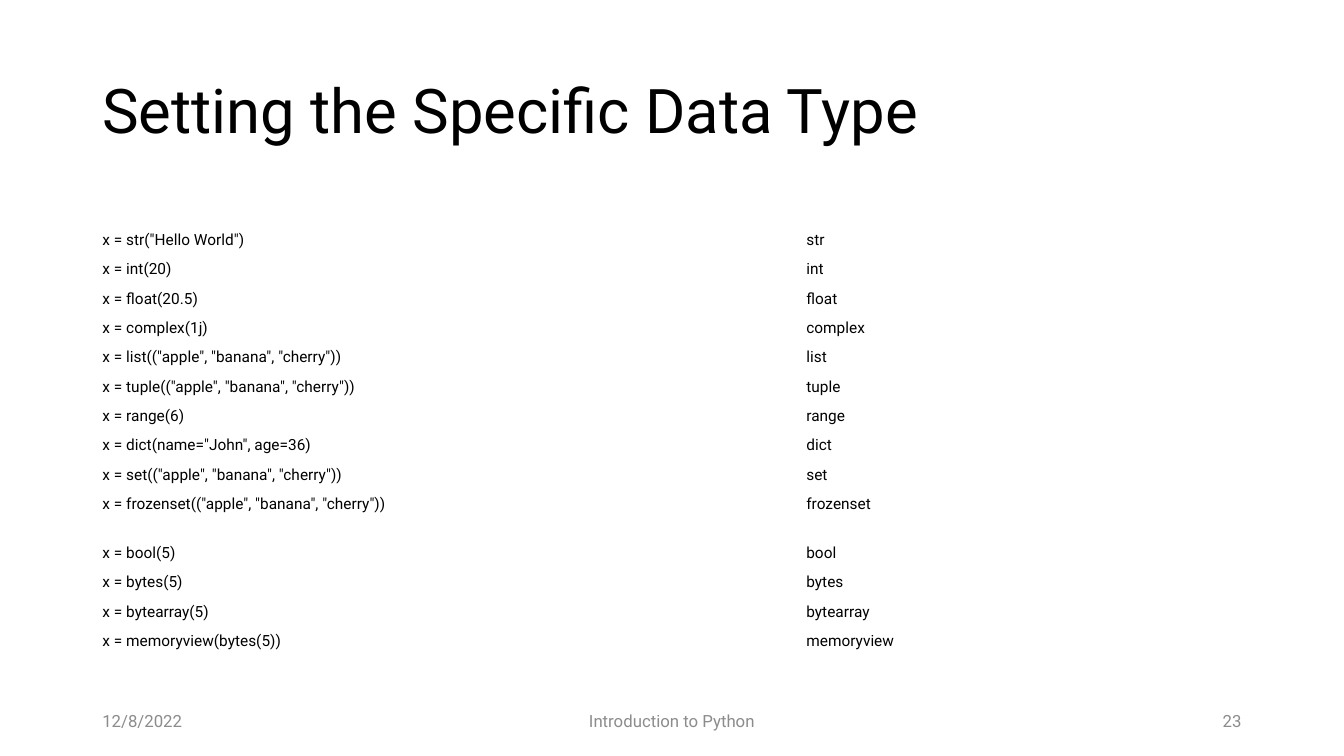
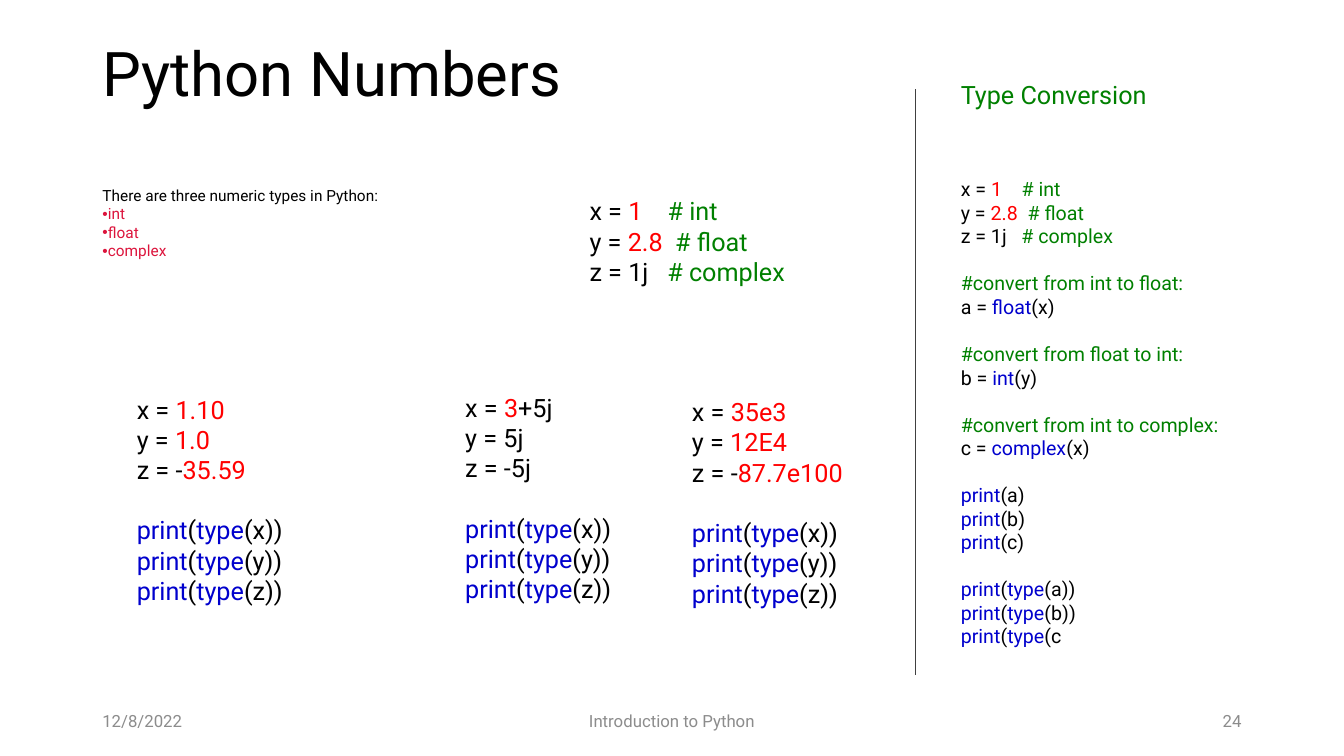
from lxml import etree
from pptx import Presentation
from pptx.dml.color import RGBColor
from pptx.enum.shapes import MSO_CONNECTOR
from pptx.enum.text import MSO_ANCHOR, MSO_AUTO_SIZE, PP_ALIGN
from pptx.oxml.ns import qn
from pptx.util import Inches, Pt

LEFT, CENTER, RIGHT = PP_ALIGN.LEFT, PP_ALIGN.CENTER, PP_ALIGN.RIGHT
TOP, MIDDLE = MSO_ANCHOR.TOP, MSO_ANCHOR.MIDDLE
NO_FIT = MSO_AUTO_SIZE.NONE
STRAIGHT = MSO_CONNECTOR.STRAIGHT

COLUMNS, ROWS = 160, 90
CELL = Inches(1 / 12)
TITLE_ONLY, TITLE_AND_BODY = 5, 1
FONT = "Roboto"
LINE_HEIGHT = 1.2
BLACK, WHITE, GRAY, RULE = "000000", "FFFFFF", "8C8C8C", "404040"
RED, GREEN, BLUE, CRIMSON = "FF0000", "008000", "0000CD", "DC143C"


def paint(target, color):
    target.rgb = RGBColor.from_string(color)


def grid(*cells):
    return [round(cell * CELL) for cell in cells]


class Deck:
    def __init__(self):
        self.prs = Presentation()
        self.prs.slide_width, self.prs.slide_height = grid(COLUMNS, ROWS)
        self.slide = None

    def start(self, layout, title, number, extra_line=False):
        self.slide = self.prs.slides.add_slide(self.prs.slide_layouts[layout])
        heading = self.slide.shapes.title
        frame = self.place(heading, (11, 4.8, 138, 17.4), MIDDLE)
        paragraph = frame.paragraphs[0]
        paragraph.alignment = LEFT
        paragraph.line_spacing = 0.9
        self.run(paragraph, title, 44)
        if extra_line:
            paragraph.add_line_break()
        footers = (
            (11, 36, "12/8/2022", LEFT),
            (53, 54, "Introduction to Python", CENTER),
            (113, 36, str(number), RIGHT),
        )
        for column, width, words, align in footers:
            self.text((column, 83.4, width, 4.8), [[[(words, GRAY)]]], 12, align, MIDDLE)

    def place(self, shape, area, anchor):
        shape.left, shape.top, shape.width, shape.height = grid(*area)
        frame = shape.text_frame
        frame.word_wrap = True
        frame.auto_size = NO_FIT
        frame.vertical_anchor = anchor
        return frame

    def run(self, paragraph, words, size, color=BLACK):
        run = paragraph.add_run()
        run.text = words
        run.font.name = FONT
        run.font.size = Pt(size)
        paint(run.font.color, color)

    def text(self, area, blocks, size, align=LEFT, anchor=TOP):
        box = self.slide.shapes.add_textbox(*grid(*area))
        frame = self.place(box, area, anchor)
        paragraph = frame.paragraphs[0]
        for block_index, block in enumerate(blocks):
            for line_index, line in enumerate(block):
                if block_index or line_index:
                    paragraph = frame.add_paragraph()
                if block_index and not line_index:
                    paragraph.space_before = Pt(size * LINE_HEIGHT)
                paragraph.alignment = align
                for part in line:
                    words, color = (part, BLACK) if isinstance(part, str) else part
                    self.run(paragraph, words, size, color)

    def bullets(self, area, lead, items, size):
        body = self.slide.placeholders[1]
        frame = self.place(body, area, MIDDLE)
        frame.margin_bottom = Inches(0.35)
        body.fill.solid()
        paint(body.fill.fore_color, WHITE)
        for index, words in enumerate([lead, *items]):
            paragraph = frame.add_paragraph() if index else frame.paragraphs[0]
            paragraph.space_before = Pt(0)
            self.run(paragraph, words, size, CRIMSON if index else BLACK)
            props = paragraph._p.get_or_add_pPr()
            props.set("marL", "0")
            props.set("indent", "0")
            if index:
                etree.SubElement(props, qn("a:buChar")).set("char", "•")
            else:
                etree.SubElement(props, qn("a:buNone"))

    def table(self, left, top, widths, heights, rows, size):
        area = grid(left, top, sum(widths), sum(heights))
        table = self.slide.shapes.add_table(len(rows), len(widths), *area).table
        table.first_row = table.horz_banding = False
        for column, width in zip(table.columns, grid(*widths)):
            column.width = width
        for row, height, entries in zip(table.rows, grid(*heights), rows):
            row.height = height
            for index, cell in enumerate(row.cells):
                cell.fill.background()
                cell.margin_left = Inches(0.05 if index else 0.1)
                cell.margin_right = cell.margin_top = cell.margin_bottom = Inches(0.05)
                paragraph = cell.text_frame.paragraphs[0]
                if index < len(entries):
                    self.run(paragraph, entries[index], size)
                else:
                    end = etree.SubElement(paragraph._p, qn("a:endParaRPr"))
                    end.set("sz", str(size * 100))

    def rule(self, column, top, bottom):
        line = self.slide.shapes.add_connector(STRAIGHT, *grid(column, top, column, bottom))
        line.line.width = Pt(0.5)
        paint(line.line.color, RULE)
        etree.SubElement(line._element.spPr, qn("a:effectLst"))


def number(words):
    return words, RED


def note(words):
    return words, GREEN


def call(words):
    return words, BLUE


def print_type(name, closing="))"):
    return [call("print"), "(", call("type"), f"({name}{closing}"]


def data_types(deck):
    deck.start(TITLE_ONLY, "Setting the Specific Data Type", 23)
    fruits = '(("apple", "banana", "cherry"))'
    arguments = {
        "str": '("Hello World")',
        "int": "(20)",
        "float": "(20.5)",
        "complex": "(1j)",
        "list": fruits,
        "tuple": fruits,
        "range": "(6)",
        "dict": '(name="John", age=36)',
        "set": fruits,
        "frozenset": fruits,
        "bool": "(5)",
        "bytes": "(5)",
        "bytearray": "(5)",
        "memoryview": "(bytes(5))",
    }
    rows = [(f"x = {kind}{value}", kind) for kind, value in arguments.items()]
    heights = [3.5] * 9 + [5.8] + [3.5] * 2 + [3.4, 3.5]
    deck.table(11, 26.9, (84.4, 51.8, 1.8), heights, rows, 11)


def numbers(deck):
    deck.start(TITLE_AND_BODY, "Python Numbers", 24, extra_line=True)
    deck.bullets(
        (11, 21.5, 53, 13.7),
        "There are three numeric types in Python:",
        ("int", "float", "complex"),
        11,
    )
    assignments = [
        ["x = ", number("1    "), note("# int")],
        ["y = ", number("2.8  "), note("# float")],
        ["z = 1j   ", note("# complex")],
    ]
    deck.text((69, 22.7, 80, 12.1), [assignments], 18)

    type_checks = [print_type(name) for name in "xyz"]
    exponents = [
        ["x = ", number("35e3")],
        ["y = ", number("12E4")],
        ["z = -", number("87.7e100")],
    ]
    floats = [
        ["x = ", number("1.10")],
        ["y = ", number("1.0")],
        ["z = -", number("35.59")],
    ]
    complexes = [["x = ", number("3"), "+5j"], ["y = 5j"], ["z = -5j"]]
    examples = (
        (81.2, 46.6, 40, exponents),
        (15.1, 46.3, 80, floats),
        (54.2, 46.1, 48.8, complexes),
    )
    for column, row, width, values in examples:
        deck.text((column, row, width, 26.6), [values, type_checks], 18)

    conversions = [
        [[note(f"#convert from {old} to {new}:")], [f"{result} = ", call(new), f"({source})"]]
        for old, new, result, source in (
            ("int", "float", "a", "x"),
            ("float", "int", "b", "y"),
            ("int", "complex", "c", "x"),
        )
    ]
    prints = [[call("print"), f"({name})"] for name in "abc"]
    result_checks = [print_type("a"), print_type("b"), print_type("c", "")]
    deck.text((113.2, 20.5, 46.8, 57.7), [assignments, *conversions, prints, result_checks], 14)
    deck.rule(109, 10.6, 80.4)
    deck.text((113.2, 8.9, 46.8, 4.8), [[[note("Type Conversion")]]], 18)


def main():
    deck = Deck()
    data_types(deck)
    numbers(deck)
    deck.prs.save("out.pptx")


if __name__ == "__main__":
    main()
